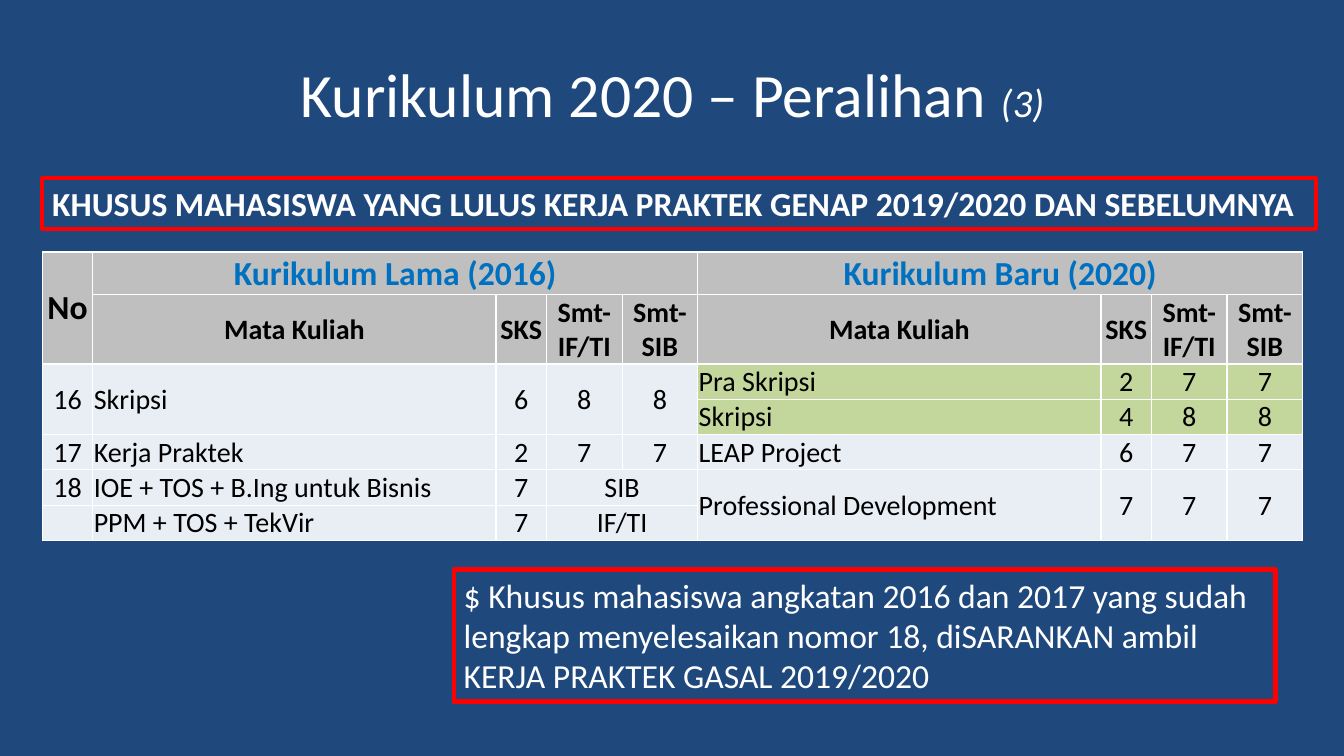
from lxml.etree import SubElement
from pptx import Presentation
from pptx.dml.color import RGBColor
from pptx.enum.text import MSO_ANCHOR, MSO_AUTO_SIZE, PP_ALIGN
from pptx.oxml.ns import qn
from pptx.util import Inches, Pt

COLORS = {"navy": "1F497D", "white": "FFFFFF", "black": "000000", "red": "FF0000",
          "blue": "0070C0", "gray": "BFBFBF", "pale": "E9EDF4", "green": "C3D69B"}

HEADS = ["Mata Kuliah", "SKS", "Smt-IF/TI", "Smt-SIB"]
ROWS = [
    ["No", "Kurikulum Lama (2016)", "", "", "", "Kurikulum Baru (2020)", "", "", ""],
    ["", *HEADS, *HEADS],
    ["16", "Skripsi", "6", "8", "8", "Pra Skripsi", "2", "7", "7"],
    ["", "", "", "", "", "Skripsi", "4", "8", "8"],
    ["17", "Kerja Praktek", "2", "7", "7", "LEAP Project", "6", "7", "7"],
    ["18", "IOE + TOS + B.Ing untuk Bisnis", "7", "SIB", "",
     "Professional Development", "7", "7", "7"],
    ["", "PPM + TOS + TekVir", "7", "IF/TI", "", "", "", "", ""],
]
WIDTHS = [0.5] + [4, 0.5, 0.75, 0.75] * 2
HEIGHTS = [0.42, 0.69] + [0.35] * 5
# Merged areas: top row, left column, bottom row, right column
SPANS = [(0, 0, 1, 0), (0, 1, 0, 4), (0, 5, 0, 8), (5, 3, 5, 4), (6, 3, 6, 4)]
SPANS += [(2, col, 3, col) for col in range(5)]
SPANS += [(5, col, 6, col) for col in range(5, 9)]


def rgb(name):
    return RGBColor.from_string(COLORS[name])


class Deck:
    def __init__(self):
        self.prs = Presentation()
        self.prs.slide_width, self.prs.slide_height = Inches(13.33), Inches(7.5)
        self.slide = self.prs.slides.add_slide(self.prs.slide_layouts[5])
        fill = self.slide.background.fill
        fill.solid()
        fill.fore_color.rgb = rgb("navy")

    def label(self, para, text, size, color="white", **style):
        run = para.add_run()
        run.text = text
        style = {"name": "Calibri", "size": Pt(size), **style}
        for key, value in style.items():
            setattr(run.font, key, value)
        run.font.color.rgb = rgb(color)

    def title(self, box, parts):
        shape = self.slide.shapes.title
        for key, value in zip(("left", "top", "width", "height"), box):
            setattr(shape, key, Inches(value))
        shape.text_frame.vertical_anchor = MSO_ANCHOR.MIDDLE
        para = shape.text_frame.paragraphs[0]
        para.alignment = PP_ALIGN.CENTER
        for text, size, style in parts:
            self.label(para, text, size, **style)

    def note(self, box, text, wrap=True, **style):
        shape = self.slide.shapes.add_textbox(*map(Inches, box))
        shape.line.color.rgb = rgb("red")
        shape.line.width = Pt(3)
        frame = shape.text_frame
        frame.word_wrap = wrap
        frame.auto_size = MSO_AUTO_SIZE.SHAPE_TO_FIT_TEXT
        self.label(frame.paragraphs[0], text, 24, **style)

    def border(self, cell):
        props = cell._tc.get_or_add_tcPr()
        for side in ("a:lnL", "a:lnR", "a:lnT", "a:lnB"):
            line = SubElement(props, qn(side), w=str(Pt(1)))
            fill = SubElement(line, qn("a:solidFill"))
            SubElement(fill, qn("a:srgbClr"), val=COLORS["white"])

    def cell(self, cell, text, fill, align, **style):
        form = {"margin_left": Inches(0.01), "margin_right": Inches(0.01),
                "margin_top": Inches(0.01), "margin_bottom": 0,
                "vertical_anchor": MSO_ANCHOR.MIDDLE}
        for key, value in form.items():
            setattr(cell, key, value)
        self.border(cell)
        cell.fill.solid()
        cell.fill.fore_color.rgb = rgb(fill)
        para = cell.text_frame.paragraphs[0]
        para.alignment = align
        if text:
            self.label(para, text, **style)

    def table(self, left, top):
        frame = self.slide.shapes.add_table(
            len(ROWS), len(WIDTHS), Inches(left), Inches(top),
            Inches(sum(WIDTHS)), Inches(sum(HEIGHTS)))
        grid = frame.table
        for col, width in zip(grid.columns, WIDTHS):
            col.width = Inches(width)
        for row, height in zip(grid.rows, HEIGHTS):
            row.height = Inches(height)
        for r, row in enumerate(ROWS):
            for c, text in enumerate(row):
                head = r < 2
                new = r in (2, 3) and c > 4
                fill = "gray" if head else "green" if new else "pale"
                name = not head and c in (1, 5)
                self.cell(grid.cell(r, c), text, fill,
                          PP_ALIGN.LEFT if name else PP_ALIGN.CENTER,
                          size=24 if r == 0 else 20, bold=head,
                          color="blue" if r == 0 and c else "black")
        for first, start, last, end in SPANS:
            grid.cell(first, start).merge(grid.cell(last, end))


def main():
    deck = Deck()
    # Heading
    deck.title((0.67, 0.3, 12, 1.25), [("Kurikulum 2020 – Peralihan ", 44, {}),
                                       ("(3)", 28, {"italic": True})])
    # Course transition table
    deck.table(0.42, 2.5)
    # Framed notes
    deck.note((0.42, 1.77, 12.63, 0.5),
              "KHUSUS MAHASISWA YANG LULUS KERJA PRAKTEK GENAP 2019/2020 DAN SEBELUMNYA",
              wrap=False, bold=True)
    deck.note((4.5, 5.65, 8.15, 1.31),
              "$ Khusus mahasiswa angkatan 2016 dan 2017 yang sudah lengkap menyelesaikan "
              "nomor 18, diSARANKAN ambil KERJA PRAKTEK GASAL 2019/2020")
    deck.prs.save("out.pptx")


if __name__ == "__main__":
    main()
